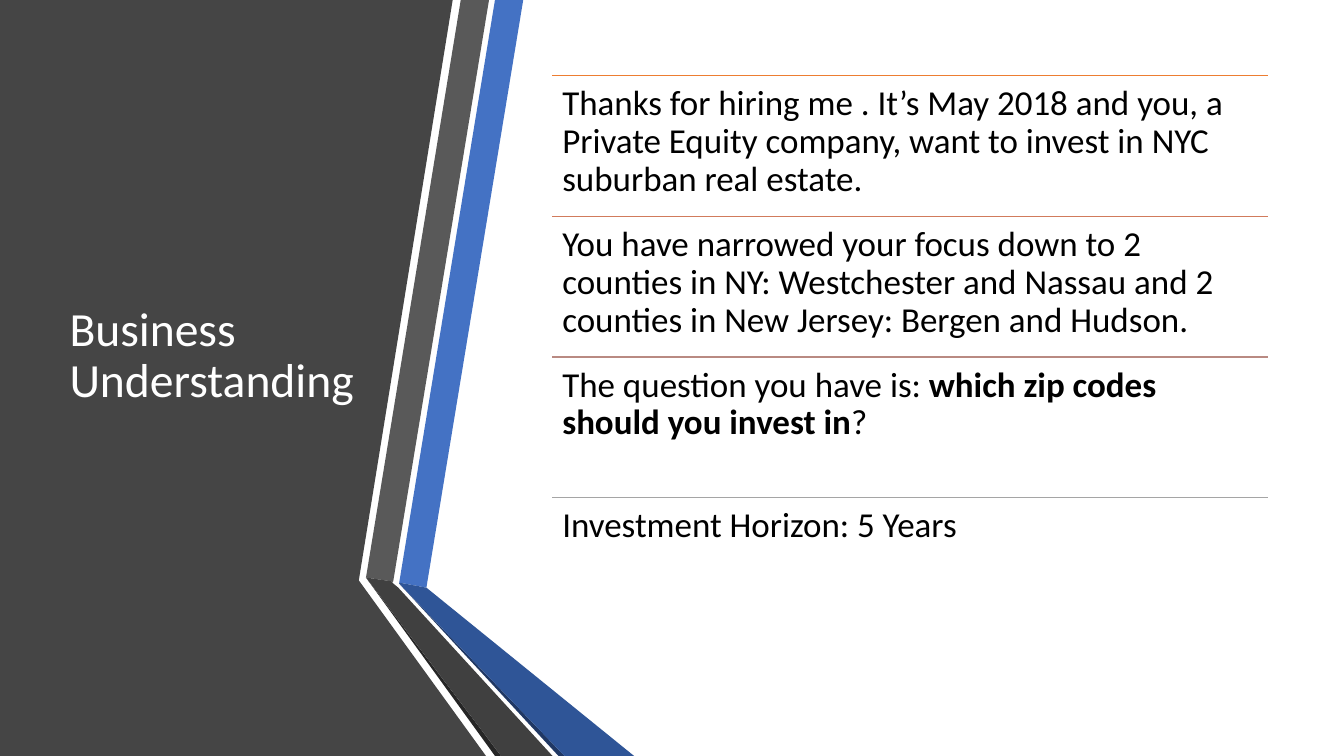
from dataclasses import dataclass

from lxml.etree import SubElement
from pptx import Presentation
from pptx.dml.color import RGBColor
from pptx.enum.shapes import MSO_CONNECTOR as Connector
from pptx.enum.text import MSO_ANCHOR as Anchor, MSO_AUTO_SIZE as AutoSize, PP_ALIGN as Align
from pptx.oxml.ns import qn
from pptx.shapes.shapetree import GroupShapes, SlideShapes
from pptx.text.text import TextFrame
from pptx.util import Inches, Pt

SLIDE_WIDTH, SLIDE_HEIGHT = Inches(13.33), Inches(7.5)
FONT = "Calibri"

WHITE = RGBColor(0xFF, 0xFF, 0xFF)
BLACK = RGBColor(0x00, 0x00, 0x00)
PANEL_GREY = RGBColor(0x45, 0x45, 0x45)
BLUE = RGBColor(0x44, 0x72, 0xC4)
MID_BLUE = RGBColor(0x2F, 0x55, 0x97)
DARK_BLUE = RGBColor(0x20, 0x38, 0x64)
GREY = RGBColor(0x59, 0x59, 0x59)
DARK_GREY = RGBColor(0x40, 0x40, 0x40)
DEEP_GREY = RGBColor(0x26, 0x26, 0x26)
ORANGE = RGBColor(0xED, 0x7D, 0x31)
COPPER = RGBColor(0xD1, 0x7B, 0x5C)
ROSE = RGBColor(0xB9, 0x8A, 0x82)
SILVER = RGBColor(0xA5, 0xA5, 0xA5)


@dataclass(frozen=True)
class Outline:
    """A filled polygon; points are in inches."""
    color: RGBColor
    points: tuple[tuple[float, float], ...]


@dataclass(frozen=True)
class Run:
    text: str
    bold: bool = False


@dataclass(frozen=True)
class Statement:
    rule_color: RGBColor
    runs: tuple[Run, ...]


PANEL = Outline(PANEL_GREY, ((0, 0), (4.49, 0), (3.56, 5.75), (3.56, 5.76), (4.82, 7.5), (0, 7.5)))

RIBBONS = (
    Outline(BLUE, ((3.96, 5.78), (4.23, 5.83), (5.19, 0), (4.91, 0))),
    Outline(GREY, ((4.85, 0), (4.57, 0), (3.63, 5.73), (3.9, 5.77))),
    Outline(DEEP_GREY, ((3.63, 5.73), (4.91, 7.5), (4.97, 7.5))),
    Outline(DARK_BLUE, ((3.96, 5.79), (5.54, 7.5), (5.6, 7.5))),
    Outline(MID_BLUE, ((3.96, 5.79), (5.6, 7.5), (6.29, 7.5), (4.23, 5.83), (3.96, 5.78))),
    Outline(DARK_GREY, ((5.48, 7.5), (3.95, 5.83), (3.89, 5.78), (3.9, 5.77),
                        (3.63, 5.73), (4.97, 7.5))),
)

STATEMENTS = (
    Statement(ORANGE, (Run("Thanks for hiring me . It’s May 2018 and you, a Private Equity "
                           "company, want to invest in NYC suburban real estate."),)),
    Statement(COPPER, (Run("You have narrowed your focus down to 2 counties in NY: Westchester "
                           "and Nassau and 2 counties in New Jersey: Bergen and Hudson."),)),
    Statement(ROSE, (Run("The question you have is: "),
                     Run("which zip codes should you invest in", bold=True), Run("?"))),
    Statement(SILVER, (Run("Investment Horizon: 5 Years"),)),
)


def across(percent: float) -> int:
    return round(SLIDE_WIDTH * percent / 100)


def down(percent: float) -> int:
    return round(SLIDE_HEIGHT * percent / 100)


def set_attributes(target: object, values: dict) -> None:
    for name, value in values.items():
        setattr(target, name, value)


def write_paragraph(frame: TextFrame, runs: tuple[Run, ...], size: float, color: RGBColor) -> None:
    paragraph = frame.paragraphs[0]
    set_attributes(paragraph, {"alignment": Align.LEFT, "line_spacing": 0.9})
    for item in runs:
        run = paragraph.add_run()
        run.text = item.text
        set_attributes(run.font, {"name": FONT, "size": Pt(size), "bold": item.bold})
        run.font.color.rgb = color


def draw_outline(shapes: SlideShapes | GroupShapes, outline: Outline) -> None:
    start, *others = [(Inches(x), Inches(y)) for x, y in outline.points]
    builder = shapes.build_freeform(*start)
    builder.add_line_segments(others, close=True)
    shape = builder.convert_to_shape()
    shape.shadow.inherit = False
    shape.fill.solid()
    shape.fill.fore_color.rgb = outline.color
    shape.line.fill.background()


def draw_statement(shapes: GroupShapes, statement: Statement, row: int) -> None:
    left, width = across(41.1), across(53.26)
    row_height = down(18.6)
    top = down(10) + row * row_height

    rule = shapes.add_connector(Connector.STRAIGHT, left, top, left + width, top)
    rule.line.width = Pt(1)
    rule.line.color.rgb = statement.rule_color
    SubElement(rule.element.spPr, qn("a:effectLst"))

    frame = shapes.add_textbox(left, top, width, row_height).text_frame
    margins = dict.fromkeys(("margin_left", "margin_top", "margin_right", "margin_bottom"),
                            Inches(0.1))
    set_attributes(frame, {"word_wrap": True, "vertical_anchor": Anchor.TOP, **margins})
    write_paragraph(frame, statement.runs, 25, BLACK)


def main() -> None:
    presentation = Presentation()
    set_attributes(presentation, {"slide_width": SLIDE_WIDTH, "slide_height": SLIDE_HEIGHT})
    slide = presentation.slides.add_slide(presentation.slide_layouts.get_by_name("Title Only"))
    slide.background.fill.solid()
    slide.background.fill.fore_color.rgb = WHITE

    draw_outline(slide.shapes, PANEL)
    ribbon_group = slide.shapes.add_group_shape()
    for ribbon in RIBBONS:
        draw_outline(ribbon_group.shapes, ribbon)

    title = slide.shapes.title
    slide.shapes.element.append(title.element)  # in front of the panel
    set_attributes(title, {"left": across(4.42), "top": down(10),
                           "width": across(22.82), "height": down(74.4)})
    set_attributes(title.text_frame, {"word_wrap": True, "auto_size": AutoSize.NONE,
                                      "vertical_anchor": Anchor.MIDDLE})
    write_paragraph(title.text_frame, (Run("Business Understanding"),), 34, WHITE)

    statement_group = slide.shapes.add_group_shape()
    for row, statement in enumerate(STATEMENTS):
        draw_statement(statement_group.shapes, statement, row)

    presentation.save("out.pptx")


if __name__ == "__main__":
    main()
